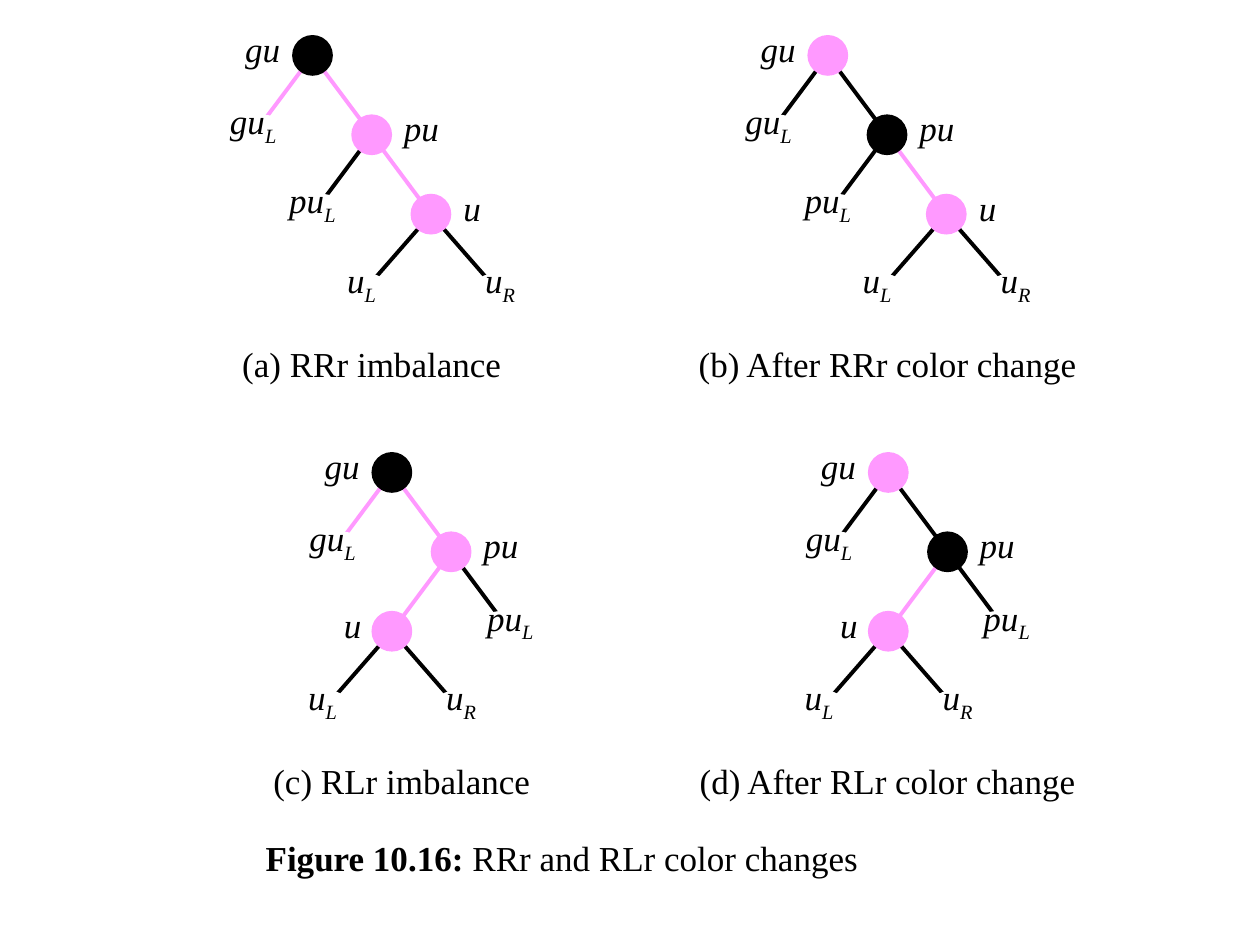
import pptx
import pptx.util
import pptx.dml.color
import pptx.enum.shapes
import pptx.enum.text
import pptx.oxml.ns
from lxml import etree
from pptx.util import Inches

BLACK, PINK, WHITE = "000000", "FF99FF", "FFFFFF"
STEP_X, STEP_Y, FORK_X = 0.47, 0.63, 0.55
NODE = 0.31
ANCHOR = pptx.enum.text.MSO_ANCHOR
ALIGN = pptx.enum.text.PP_ALIGN


def color(hex_value):
    return pptx.dml.color.RGBColor.from_string(hex_value)


class Figure:
    font, size = "Times New Roman", 20

    def __init__(self, slide):
        self.slide = slide

    def put_text(self, shape, runs, anchor, insets, align=ALIGN.CENTER, wrap=False):
        """Each run is a tuple: text, bold, italic, subscript."""
        frame = shape.text_frame
        frame.word_wrap = wrap
        frame.vertical_anchor = anchor
        frame.margin_left = frame.margin_right = Inches(insets[0])
        frame.margin_top, frame.margin_bottom = Inches(insets[1]), Inches(insets[2])
        paragraph = frame.paragraphs[0]
        paragraph.alignment = align
        for text, bold, italic, subscript in runs:
            run = paragraph.add_run()
            run.text = text
            run.font.name, run.font.size = self.font, pptx.util.Pt(self.size)
            run.font.bold, run.font.italic = bold, italic
            run.font.color.rgb = color(BLACK)
            if subscript:
                run.font._element.set("baseline", "-25000")
        return paragraph

    def ellipse(self, x, y, width, fill, line_width):
        shape = self.slide.shapes.add_shape(
            pptx.enum.shapes.MSO_SHAPE.OVAL, Inches(x - width / 2),
            Inches(y - NODE / 2), Inches(width), Inches(NODE))
        shape.shadow.inherit = False
        shape.fill.solid()
        shape.fill.fore_color.rgb = color(fill)
        shape.line.color.rgb = color(fill)
        shape.line.width = pptx.util.Pt(line_width)
        return shape

    def node(self, center, fill):
        self.ellipse(*center, NODE, fill, 1)

    def leaf(self, center, name, side, width):
        shape = self.ellipse(*center, width, WHITE, 1.75)
        runs = [(name, False, True, False), (side, False, True, True)]
        self.put_text(shape, runs, ANCHOR.BOTTOM, (0, 0, 0.01))

    def edge(self, start, end, stroke):
        line = self.slide.shapes.add_connector(
            pptx.enum.shapes.MSO_CONNECTOR.STRAIGHT,
            *[Inches(value) for value in (*start, *end)])
        line.line.color.rgb = color(stroke)
        line.line.width = pptx.util.Pt(2.25)
        etree.SubElement(line._element.spPr, pptx.oxml.ns.qn("a:effectLst"))

    def box(self, x, y, width, height):
        return self.slide.shapes.add_textbox(
            Inches(x), Inches(y), Inches(width), Inches(height))

    def label(self, center, name, side, width, inset):
        x, y = center
        left = x + 0.16 if side > 0 else x - 0.16 - width
        self.put_text(self.box(left, y - 0.16, width, NODE),
                      [(name, False, True, False)], ANCHOR.BOTTOM, (inset, 0, 0.04))

    def caption(self, x, y, width, text):
        self.put_text(self.box(x, y, width, 0.47), [(text, False, False, False)],
                      ANCHOR.MIDDLE, (0.1, 0.05, 0.05), wrap=True)

    def tree(self, gu, turn, changed):
        """turn is the side of u below pu: 1 for right, -1 for left."""
        gu_color, pu_color = (PINK, BLACK) if changed else (BLACK, PINK)

        def below(parent, side, step=STEP_X):
            return parent[0] + side * step, parent[1] + STEP_Y

        pu = below(gu, 1)
        u = below(pu, turn)
        gu_leaf, pu_leaf = below(gu, -1), below(pu, -turn)
        u_leaves = [(below(u, -1, FORK_X), "L"), (below(u, 1, FORK_X), "R")]

        # Edges
        self.edge(gu, gu_leaf, pu_color)
        self.edge(gu, pu, pu_color)
        self.edge(pu, pu_leaf, BLACK)
        self.edge(pu, u, PINK)
        for center, _ in u_leaves:
            self.edge(u, center, BLACK)

        # Subtrees
        self.leaf(gu_leaf, "gu", "L", 0.63)
        self.leaf(pu_leaf, "pu", "L", 0.63)
        for center, side in u_leaves:
            self.leaf(center, "u", side, 0.47)

        # Nodes and their names
        self.label(gu, "gu", -1, 0.47, 0.08)
        self.label(pu, "pu", 1, 0.47, 0.08)
        self.label(u, "u", turn, 0.32, 0.1)
        for center, fill in ((gu, gu_color), (pu, pu_color), (u, PINK)):
            self.node(center, fill)


deck = pptx.Presentation()
deck.slide_width, deck.slide_height = Inches(10), Inches(7.5)
figure = Figure(deck.slides.add_slide(deck.slide_layouts[6]))

# Four trees: root, row, side of u, colors changed, caption left, width and text
ROW_GAP, CAPTION_DROP = 3.31, 2.21
panels = [
    (2.48, 0, 1, False, 1.69, 2.52, "(a) RRr imbalance"),
    (6.57, 0, 1, True, 5.31, 3.47, "(b) After RRr color change"),
    (3.11, 1, -1, False, 2.01, 2.36, "(c) RLr imbalance"),
    (7.05, 1, -1, True, 5.31, 3.47, "(d) After RLr color change"),
]
for root_x, row, turn, changed, left, width, text in panels:
    root_y = 0.44 + row * ROW_GAP
    figure.tree((root_x, root_y), turn, changed)
    figure.caption(left, root_y + CAPTION_DROP, width, text)

# Figure title
title = figure.put_text(
    figure.box(2.01, 6.59, 5.99, 0.47),
    [("Figure 10.16: ", True, False, False),
     ("RRr and RLr color changes", False, False, False)],
    ANCHOR.TOP, (0.1, 0.05, 0.05), ALIGN.LEFT, wrap=True)
title.space_before = pptx.util.Pt(4)

deck.save("out.pptx")
